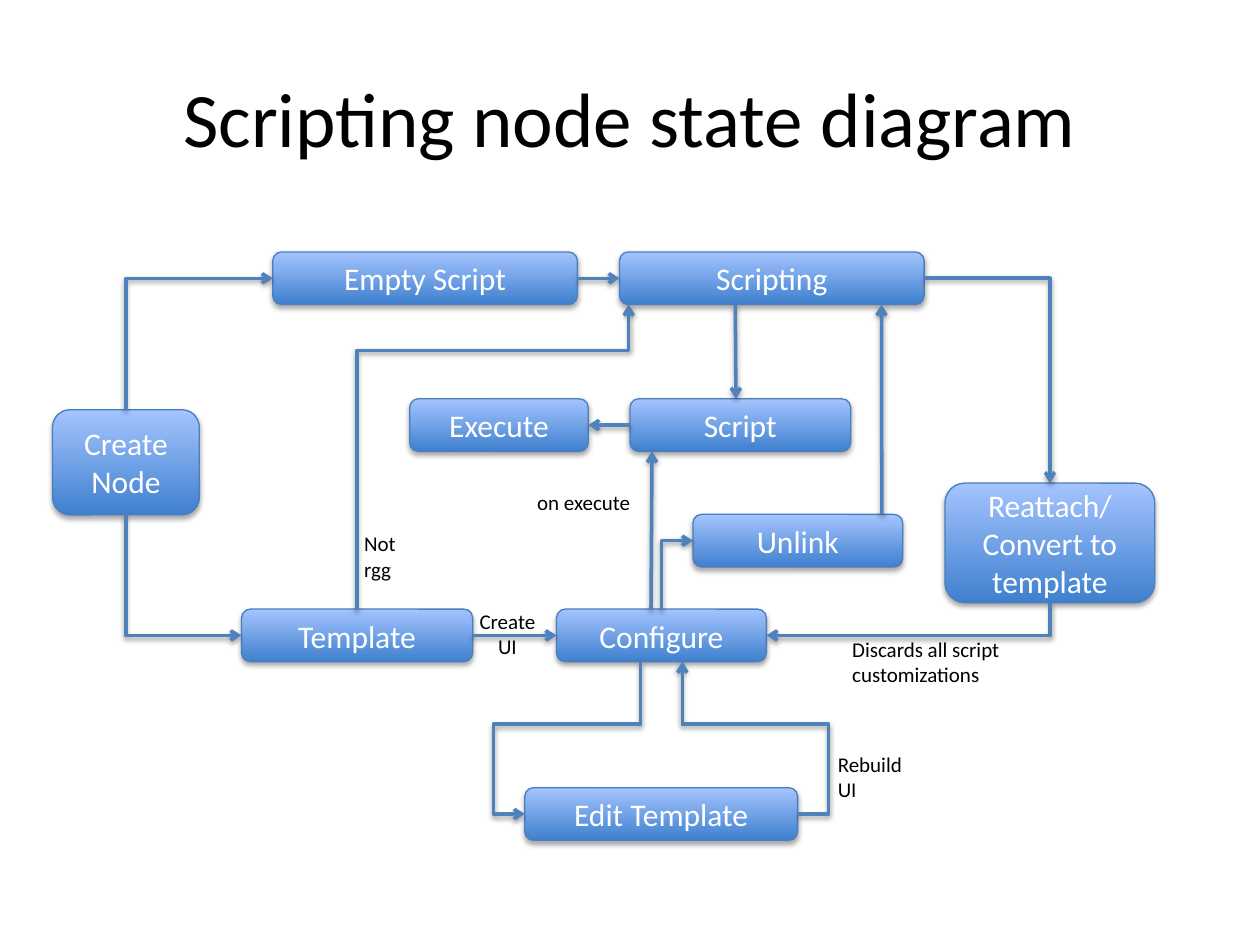
import math
from dataclasses import dataclass

import lxml.etree
import pptx
import pptx.dml.color
import pptx.enum.shapes
import pptx.enum.text
import pptx.oxml.ns
import pptx.util

Cm = pptx.util.Cm
Pt = pptx.util.Pt
RGB = pptx.dml.color.RGBColor.from_string
qn = pptx.oxml.ns.qn
PP_ALIGN = pptx.enum.text.PP_ALIGN
CONNECTOR = pptx.enum.shapes.MSO_CONNECTOR


@dataclass(frozen=True)
class Theme:
    font: str = "Calibri"
    ink: str = "000000"
    node_text: str = "FFFFFF"
    node_bottom: str = "3F80CE"
    node_top: str = "A4C4FF"
    node_edge: str = "4B7EBC"
    arrow: str = "4F81BD"
    title_size: int = 44
    node_size: int = 18
    label_size: int = 12
    edge_width: float = 0.75
    arrow_width: float = 2


theme = Theme()


def write(shape, text, size, color, align):
    """Fill a shape with one paragraph per line of text."""
    frame = shape.text_frame
    for index, line in enumerate(text.split("\n")):
        para = frame.paragraphs[0] if index == 0 else frame.add_paragraph()
        para.alignment = align
        span = para.add_run()
        span.text = line
        span.font.name = theme.font
        span.font.size = Pt(size)
        span.font.color.rgb = RGB(color)


def drop_shadow(properties, distance, opacity):
    """Replace the inherited effects with a soft shadow straight below."""
    effects = properties.find(qn("a:effectLst"))
    if effects is None:
        effects = lxml.etree.SubElement(properties, qn("a:effectLst"))
    shadow = lxml.etree.SubElement(
        effects, qn("a:outerShdw"), blurRad=str(Pt(3.1)), dist=str(Pt(distance)),
        dir="5400000", rotWithShape="0")
    tint = lxml.etree.SubElement(shadow, qn("a:srgbClr"), val=theme.ink)
    lxml.etree.SubElement(tint, qn("a:alpha"), val=str(opacity * 1000))


deck = pptx.Presentation()
deck.slide_width, deck.slide_height = Cm(25.4), Cm(19.05)
page = deck.slides.add_slide(deck.slide_layouts[6])

title = page.shapes.add_textbox(Cm(1.27), Cm(0.76), Cm(22.86), Cm(3.18))
title.text_frame.word_wrap = True
title.text_frame.vertical_anchor = pptx.enum.text.MSO_ANCHOR.MIDDLE
write(title, "Scripting node state diagram", theme.title_size, theme.ink, PP_ALIGN.CENTER)

# Nodes in cm: left, top, width, height
ROW = 1.06
nodes = {
    "Unlink": (13.97, 10.37, 4.23, ROW),
    "Script": (12.7, 8.04, 4.45, ROW),
    "Configure": (11.22, 12.28, 4.23, ROW),
    "Template": (4.87, 12.28, 4.66, ROW),
    "Execute": (8.26, 8.04, 3.6, ROW),
    "Edit Template": (10.58, 15.88, 5.5, ROW),
    "Reattach/\nConvert to template": (19.05, 9.74, 4.23, 2.41),
    "Empty Script": (5.5, 5.08, 6.14, ROW),
    "Scripting": (12.49, 5.08, 6.14, ROW),
    "Create Node": (1.06, 8.26, 2.96, 2.12),
}
for name, bounds in nodes.items():
    box = page.shapes.add_shape(
        pptx.enum.shapes.MSO_SHAPE.ROUNDED_RECTANGLE, *map(Cm, bounds))
    box.fill.gradient()
    box.fill.gradient_angle = 90
    for stop, color, position in zip(
            box.fill.gradient_stops, (theme.node_bottom, theme.node_top), (0, 1)):
        stop.color.rgb = RGB(color)
        stop.position = position
    box.line.color.rgb = RGB(theme.node_edge)
    box.line.width = Pt(theme.edge_width)
    box.shadow.inherit = False
    drop_shadow(box._element.spPr, 1.8, 35)
    box.text_frame.word_wrap = True
    box.text_frame.vertical_anchor = pptx.enum.text.MSO_ANCHOR.MIDDLE
    write(box, name, theme.node_size, theme.node_text, PP_ALIGN.CENTER)

# Each end is node, side and fraction along that side; then connector and bends
REATTACH = "Reattach/\nConvert to template"
STRAIGHT, CORNER, STEP, LOOP = (
    "line", "bentConnector2", "bentConnector3", "bentConnector4")
arrows = [
    (("Configure", "top", 0.5), ("Unlink", "left", 0.5), CORNER, ()),
    ((REATTACH, "bottom", 0.5), ("Configure", "right", 0.5), CORNER, ()),
    (("Template", "right", 0.5), ("Configure", "left", 0.5), STRAIGHT, ()),
    (("Script", "left", 0.5), ("Execute", "right", 0.5), STRAIGHT, ()),
    (("Configure", "bottom", 0.4), ("Edit Template", "left", 0.5), LOOP, (0.41, 1.27)),
    (("Configure", "top", 0.45), ("Script", "bottom", 0.1), STRAIGHT, ()),
    (("Edit Template", "right", 0.5), ("Configure", "bottom", 0.6), LOOP, (-0.27, 0.59)),
    (("Empty Script", "right", 0.5), ("Scripting", "left", 0.5), STRAIGHT, ()),
    (("Scripting", "bottom", 0.38), ("Script", "top", 0.48), STRAIGHT, ()),
    (("Template", "top", 0.5), ("Scripting", "bottom", 0.03), STEP, (0.85,)),
    (("Unlink", "top", 0.9), ("Scripting", "bottom", 0.86), STRAIGHT, ()),
    (("Scripting", "right", 0.5), (REATTACH, "top", 0.5), CORNER, ()),
    (("Create Node", "bottom", 0.5), ("Template", "left", 0.5), CORNER, ()),
    (("Create Node", "top", 0.5), ("Empty Script", "left", 0.5), CORNER, ()),
]
headings = {"right": 0, "bottom": 90, "left": 180, "top": 270}
for start, end, preset, bends in arrows:
    points = []
    for name, side, fraction in (start, end):
        left, top, width, height = nodes[name]
        points.append({
            "left": (left, top + height * fraction),
            "right": (left + width, top + height * fraction),
            "top": (left + width * fraction, top),
            "bottom": (left + width * fraction, top + height),
        }[side])
    (x1, y1), (x2, y2) = points
    # A bent connector is laid out heading right, then turned to leave its side
    heading = 0 if preset == STRAIGHT else headings[start[1]]
    cos, sin = math.cos(math.radians(heading)), math.sin(math.radians(heading))
    run = (x2 - x1) * cos + (y2 - y1) * sin
    rise = (y2 - y1) * cos - (x2 - x1) * sin
    middle_x, middle_y = (x1 + x2) / 2, (y1 + y2) / 2
    arrow = page.shapes.add_connector(
        CONNECTOR.STRAIGHT if preset == STRAIGHT else CONNECTOR.ELBOW,
        Cm(middle_x - run / 2), Cm(middle_y - rise / 2),
        Cm(middle_x + run / 2), Cm(middle_y + rise / 2))
    properties = arrow._element.spPr
    if preset != STRAIGHT:
        properties.find(qn("a:xfrm")).set("rot", str(heading * 60000))
        geometry = properties.find(qn("a:prstGeom"))
        geometry.set("prst", preset)
        for number, bend in enumerate(bends, 1):
            lxml.etree.SubElement(
                geometry.find(qn("a:avLst")), qn("a:gd"),
                name=f"adj{number}", fmla=f"val {round(bend * 100000)}")
    arrow.line.color.rgb = RGB(theme.arrow)
    arrow.line.width = Pt(theme.arrow_width)
    lxml.etree.SubElement(properties.find(qn("a:ln")), qn("a:tailEnd"), type="arrow")
    drop_shadow(properties, 1.6, 38)

# Labels in cm: left, top, width, height
labels = [
    ("Not\nrgg", (7.09, 10.58, 1.17, 1.28), PP_ALIGN.LEFT, False),
    ("Create\nUI", (9.33, 12.14, 1.8, 1.28), PP_ALIGN.CENTER, False),
    ("Discards all script customizations", (16.93, 12.7, 4.02, 1.28), PP_ALIGN.LEFT, True),
    ("on execute", (10.58, 9.74, 2.62, 0.77), PP_ALIGN.LEFT, False),
    ("Rebuild\nUI", (16.64, 15.03, 1.96, 1.28), PP_ALIGN.LEFT, False),
]
for text, bounds, align, wrap in labels:
    label = page.shapes.add_textbox(*map(Cm, bounds))
    label.text_frame.word_wrap = wrap
    label.text_frame.auto_size = pptx.enum.text.MSO_AUTO_SIZE.SHAPE_TO_FIT_TEXT
    write(label, text, theme.label_size, theme.ink, align)

deck.save("out.pptx")
